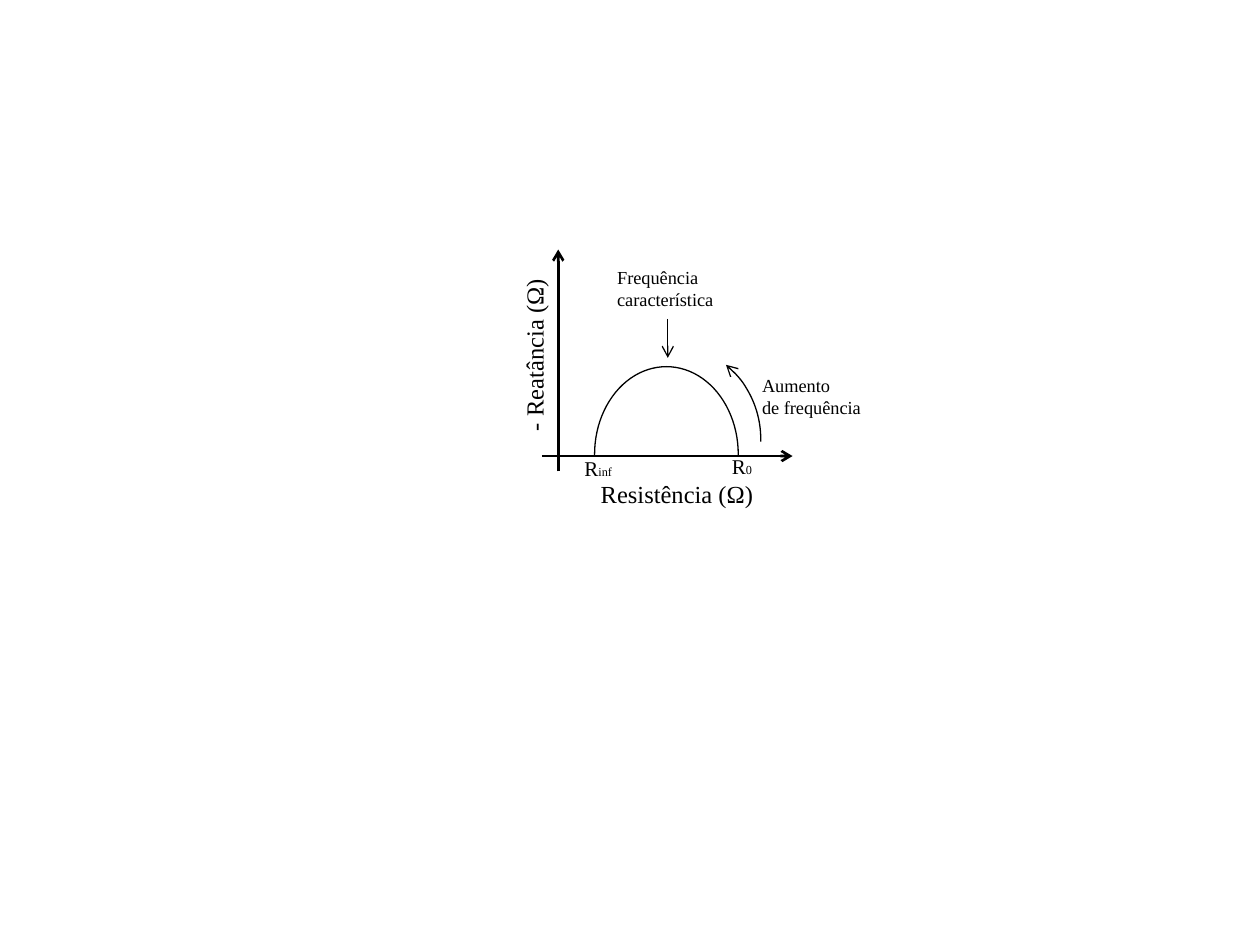
from pptx import Presentation
from pptx.dml.color import RGBColor
from pptx.enum.shapes import MSO_CONNECTOR, MSO_SHAPE
from pptx.enum.text import MSO_AUTO_SIZE
from pptx.oxml.ns import qn
from pptx.util import Pt
from lxml.etree import SubElement

INK = "000000"
FACE = "Times New Roman"


def color(code):
    return RGBColor.from_string(code)


def stroke(shape, width, end=None):
    """Set the line; end is headEnd or tailEnd for an open arrowhead."""
    shape.line.color.rgb = color(INK)
    shape.line.width = Pt(width)
    if end:
        SubElement(shape.line._get_or_add_ln(), qn("a:" + end), type="arrow")


def arrow(group, start, stop, width):
    line = group.shapes.add_connector(
        MSO_CONNECTOR.STRAIGHT, *map(Pt, start + stop))
    stroke(line, width, "tailEnd")
    SubElement(line._element.spPr, qn("a:effectLst"))


def arc(group, box, start, end=None):
    curve = group.shapes.add_shape(MSO_SHAPE.ARC, *map(Pt, box))
    curve.adjustments[0] = start
    curve.adjustments[1] = 0.92
    curve.shadow.inherit = False
    curve.fill.background()
    stroke(curve, 0.75, end)


def label(group, box, lines, turn=0):
    """Write lines, each a list of (text, size) runs."""
    shape = group.shapes.add_textbox(*map(Pt, box))
    shape.rotation = turn
    frame = shape.text_frame
    frame.word_wrap = False
    frame.auto_size = MSO_AUTO_SIZE.SHAPE_TO_FIT_TEXT
    for i, runs in enumerate(lines):
        para = frame.add_paragraph() if i else frame.paragraphs[0]
        for text, size in runs:
            run = para.add_run()
            run.text = text
            for key, value in {"name": FACE, "size": Pt(size)}.items():
                setattr(run.font, key, value)
            run.font.color.rgb = color(INK)


def plot(slide, left, top):
    """Draw the impedance arc with its axes and notes from a top left corner."""
    def at(x, y, *size):
        return (left + x, top + y, *size)

    group = slide.shapes.add_group_shape()
    arrow(group, at(19, 129.3), at(19, 2.6), 1.5)
    arrow(group, at(9.6, 120.6), at(152.9, 120.6), 1.5)
    label(group, at(-45.8, 50.1, 102.2, 24.5), [[("- Reatância (Ω)", 14)]], 270)
    label(group, at(36.2, 130, 105.8, 24.5), [[("Resistência (Ω)", 14)]])

    label(group, at(111.1, 115.6, 26.6, 21.6), [[("R", 12), ("0", 7)]])
    arc(group, at(39.8, 69.5, 82.1, 100.1), 107.2)
    label(group, at(26.9, 117, 30.2, 21.6), [[("R", 12), ("inf", 7)]])

    arc(group, at(29, 56.6, 105.8, 108.7), 184.69, "headEnd")
    label(group, at(128.4, 70.2, 74.2, 33.8),
          [[("Aumento", 10.5)], [("de frequência", 10.5)]])
    label(group, at(45.6, 8.3, 69.8, 32.4),
          [[("Frequência", 10.5)], [("característica", 10.5)]])
    arrow(group, at(81.6, 42.2), at(81.6, 64.5), 0.75)


def main():
    deck = Presentation()
    deck.slide_width, deck.slide_height = Pt(720), Pt(540)
    slide = deck.slides.add_slide(deck.slide_layouts[6])
    plot(slide, 300, 140)
    deck.save("out.pptx")


if __name__ == "__main__":
    main()
